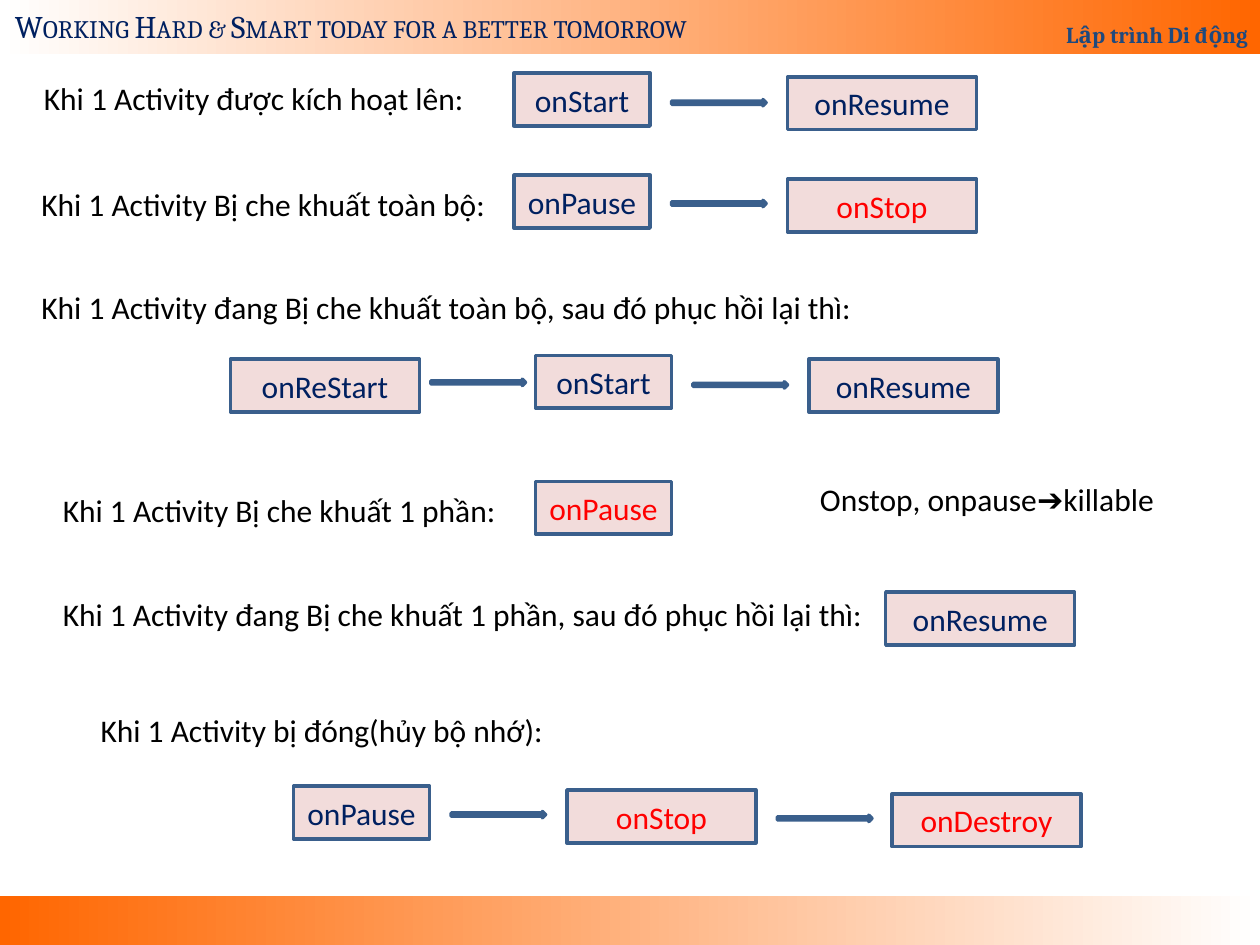
"""Build the slide on mobile Activity lifecycle callbacks."""
from dataclasses import dataclass

from pptx import Presentation
from pptx.dml.color import RGBColor
from pptx.enum.shapes import MSO_SHAPE
from pptx.enum.text import MSO_ANCHOR, PP_ALIGN
from pptx.util import Inches, Pt

COLORS = {
    "white": "FFFFFF", "orange": "FF6600", "navy": "002060", "red": "FF0000",
    "black": "000000", "course": "1F497D", "box": "F2DCDB",
    "arrow": "4F81BD", "outline": "3A5F8C",
}
NARROW, WIDE, BOX_HEIGHT = 1.08, 1.5, 0.42
ARROW_WIDTH, ARROW_HEIGHT = 0.75, 0.05


@dataclass
class Caption:
    text: str
    left: float
    top: float
    width: float


@dataclass
class Callback:
    name: str
    left: float
    top: float
    width: float = WIDE
    color: str = "navy"


@dataclass
class Arrow:
    left: float
    top: float


CAPTIONS = [
    Caption("Khi 1 Activity được kích hoạt lên:", 0.25, 0.58, 3.57),
    Caption("Khi 1 Activity Bị che khuất toàn bộ:", 0.23, 1.42, 3.77),
    Caption("Khi 1 Activity đang Bị che khuất toàn bộ, sau đó phục hồi lại thì:", 0.23, 2.24, 6.71),
    Caption("Khi 1 Activity Bị che khuất 1 phần:", 0.4, 3.85, 3.68),
    Caption("Khi 1 Activity đang Bị che khuất 1 phần, sau đó phục hồi lại thì:", 0.4, 4.67, 6.63),
    Caption("Onstop, onpause➔killable", 6.41, 3.76, 2.94),
    Caption("Khi 1 Activity bị đóng(hủy bộ nhớ):", 0.7, 5.59, 3.76),
]
CALLBACKS = [
    Callback("onStart", 4.08, 0.58, NARROW),
    Callback("onResume", 6.25, 0.61),
    Callback("onPause", 4.08, 1.39, NARROW),
    Callback("onStop", 6.25, 1.42, color="red"),
    Callback("onReStart", 1.83, 2.85),
    Callback("onStart", 4.25, 2.82, NARROW),
    Callback("onResume", 6.42, 2.85),
    Callback("onPause", 4.25, 3.82, NARROW, "red"),
    Callback("onResume", 7.03, 4.7),
    Callback("onPause", 2.33, 6.24, NARROW),
    Callback("onStop", 4.5, 6.27, color="red"),
    Callback("onDestroy", 7.08, 6.3, color="red"),
]
ARROWS = [
    Arrow(5.33, 0.79), Arrow(5.33, 1.59), Arrow(3.42, 3.01),
    Arrow(5.5, 3.03), Arrow(3.58, 6.44), Arrow(6.17, 6.47),
]


def rgb(name: str) -> RGBColor:
    return RGBColor.from_string(COLORS[name])


def write(shape, text: str, color: str, font: str = "Calibri", size: float = 18, align=PP_ALIGN.LEFT):
    paragraph = shape.text_frame.paragraphs[0]
    paragraph.alignment = align
    run = paragraph.add_run()
    run.text = text
    run.font.name = font
    run.font.size = Pt(size)
    run.font.color.rgb = rgb(color)
    return run


def add_preset(slide, preset, left: float, top: float, width: float, height: float):
    shape = slide.shapes.add_shape(preset, Inches(left), Inches(top), Inches(width), Inches(height))
    shape.shadow.inherit = False
    return shape


def add_band(slide, top: float, height: float, start: str, end: str):
    band = add_preset(slide, MSO_SHAPE.RECTANGLE, 0, top, 10, height)
    band.line.fill.background()
    band.fill.gradient()
    band.fill.gradient_angle = 0
    for stop, color in zip(band.fill.gradient_stops, (start, end)):
        stop.color.rgb = rgb(color)
    return band


def add_outlined(slide, preset, fill: str, left: float, top: float, width: float, height: float):
    shape = add_preset(slide, preset, left, top, width, height)
    shape.fill.solid()
    shape.fill.fore_color.rgb = rgb(fill)
    shape.line.color.rgb = rgb("outline")
    shape.line.width = Pt(2)
    return shape


def add_caption(slide, caption: Caption, color: str = "black", font: str = "Calibri"):
    box = slide.shapes.add_textbox(
        Inches(caption.left), Inches(caption.top), Inches(caption.width), Inches(0.4))
    box.text_frame.word_wrap = False
    return write(box, caption.text, color, font)


def add_callback(slide, callback: Callback) -> None:
    box = add_outlined(slide, MSO_SHAPE.RECTANGLE, "box",
                       callback.left, callback.top, callback.width, BOX_HEIGHT)
    box.text_frame.vertical_anchor = MSO_ANCHOR.MIDDLE
    write(box, callback.name, callback.color, align=PP_ALIGN.CENTER)


def add_header(slide) -> None:
    band = add_band(slide, -0.06, 0.49, "white", "orange")
    band.text_frame.vertical_anchor = MSO_ANCHOR.BOTTOM
    band.text_frame.paragraphs[0].line_spacing = 1.8
    course = write(band, "Lập trình Di động", "course", "Cambria", 13, PP_ALIGN.RIGHT)
    course.font.bold = True
    motto = add_caption(
        slide, Caption("Working Hard & Smart today for a better tomorrow", 0.02, 0.01, 5.9),
        "navy", "Cambria")
    motto._r.get_or_add_rPr().set("cap", "small")


def main() -> None:
    deck = Presentation()
    deck.slide_width, deck.slide_height = Inches(10), Inches(7.5)
    slide = deck.slides.add_slide(deck.slide_layouts[6])
    add_band(slide, 7.11, 0.39, "orange", "white")
    add_header(slide)
    for caption in CAPTIONS:
        add_caption(slide, caption)
    for callback in CALLBACKS:
        add_callback(slide, callback)
    for arrow in ARROWS:
        add_outlined(slide, MSO_SHAPE.RIGHT_ARROW, "arrow",
                     arrow.left, arrow.top, ARROW_WIDTH, ARROW_HEIGHT)
    deck.save("out.pptx")


main()
